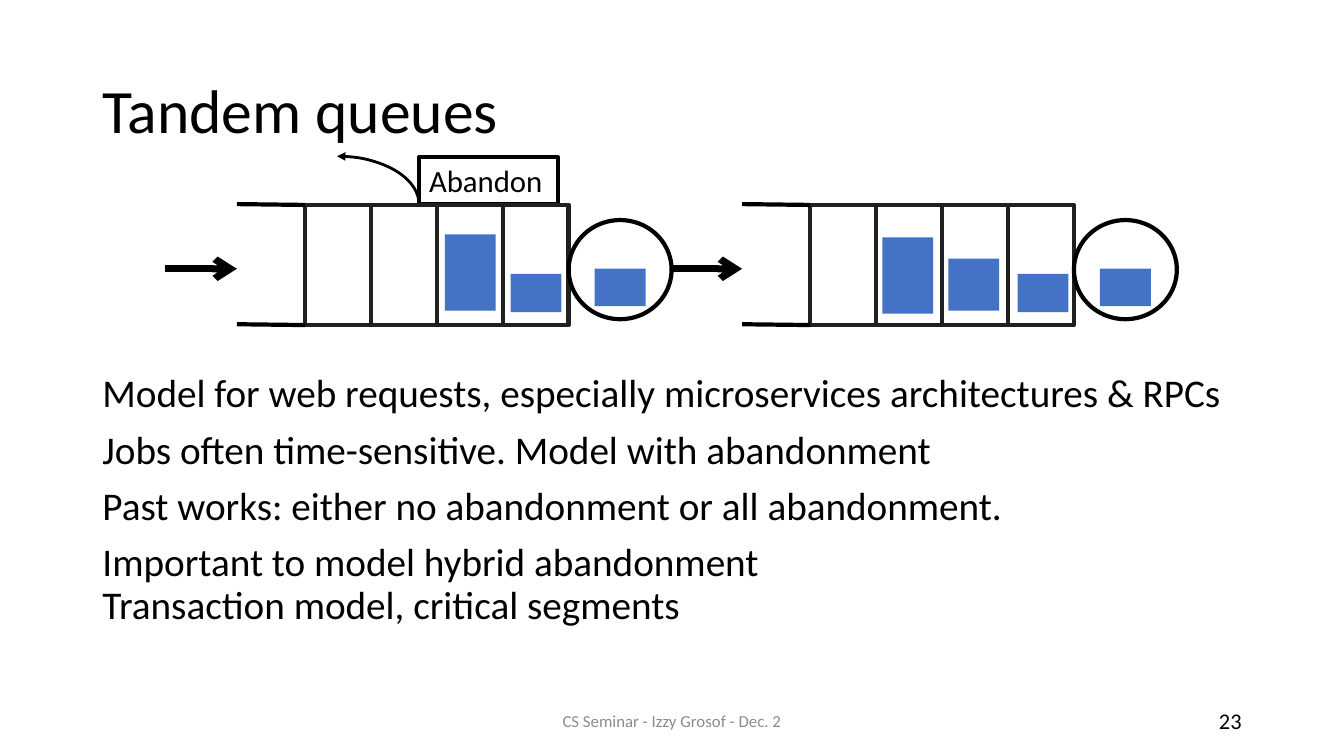
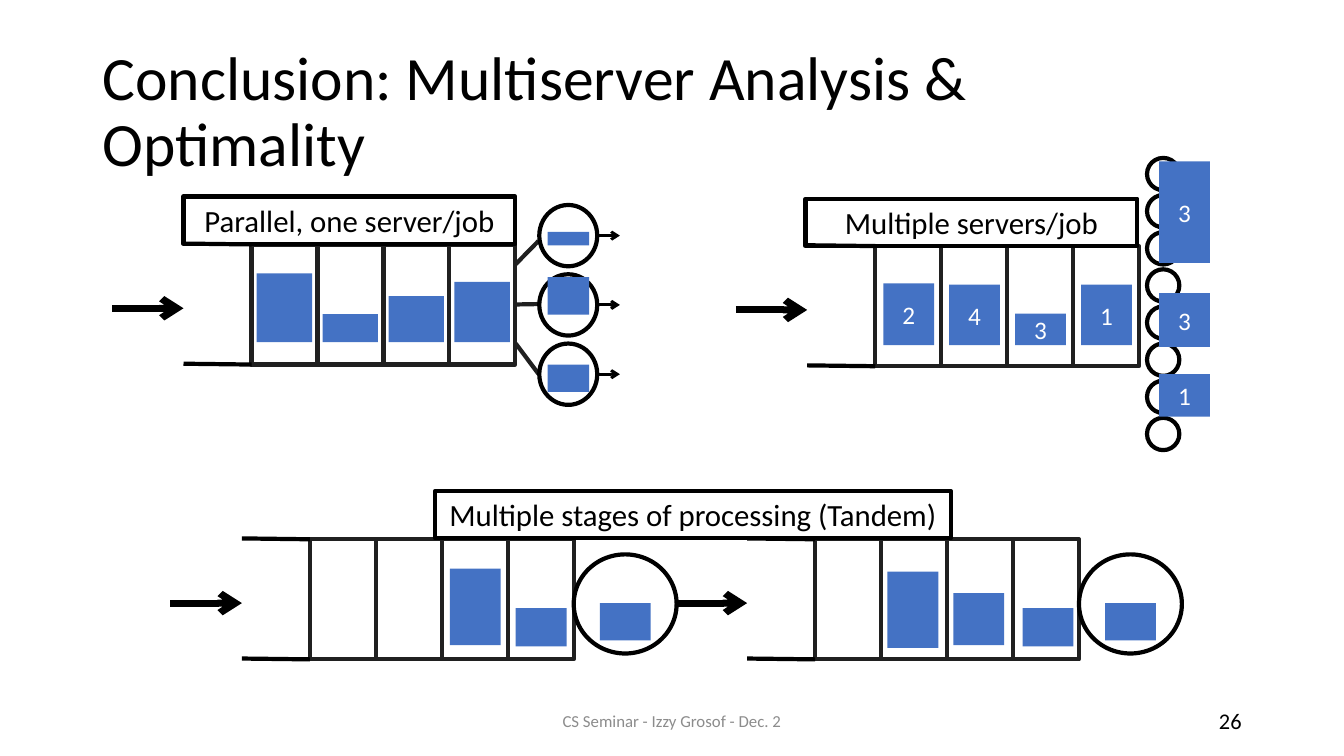
from lxml import etree
from pptx import Presentation, util as u
from pptx.dml.color import RGBColor
from pptx.enum import shapes, text
from pptx.oxml.ns import qn

COLORS = {"ink": "000000", "frame": "202020", "job": "4472C4", "paper": "FFFFFF", "muted": "8C8C8C"}
FONT = "Calibri"
UNIT = u.Pt(6)
COLUMNS, ROWS = 160, 90
CELL_WIDTH, CELL_HEIGHT = 7.85, 14.3
JOB_WIDTH = 6.05
LABEL_HEIGHT = 5.65
STAGE_GAP = 60.15


def grid(*lengths):
    return [round(length * UNIT) for length in lengths]


def color(name):
    return RGBColor.from_string(COLORS[name])


def write(frame, paragraphs, size=28, ink="ink", align="LEFT", anchor="TOP", spacing=None, gap=0):
    frame.word_wrap = True
    frame.auto_size = text.MSO_AUTO_SIZE.NONE
    frame.vertical_anchor = getattr(text.MSO_ANCHOR, anchor)
    for index, words in enumerate(paragraphs):
        para = frame.add_paragraph() if index else frame.paragraphs[0]
        props = para._p.get_or_add_pPr()
        props.set("marL", "0")
        props.set("indent", "0")
        para.alignment = getattr(text.PP_ALIGN, align)
        para.line_spacing = spacing
        para.space_before = u.Pt(gap if index else 0)
        etree.SubElement(props, qn("a:buNone"))
        for number, line in enumerate(words.split("\n")):
            if number:
                para.add_line_break()
            span = para.add_run()
            span.text = line
            span.font.name = FONT
            span.font.size = u.Pt(size)
            span.font.color.rgb = color(ink)


def add_arrowhead(item, end, kind):
    outline = item.element.spPr.find(qn("a:ln"))
    etree.SubElement(outline, qn(f"a:{end}"), type=kind)


class Slides:
    def __init__(self):
        self.deck = Presentation()
        self.deck.slide_width, self.deck.slide_height = grid(COLUMNS, ROWS)
        self.page = None

    def start(self, title, number, layout):
        self.page = self.deck.slides.add_slide(self.deck.slide_layouts.get_by_name(layout))
        self.fill_placeholder(0, (11, 4.8, 138, 17.4), [title], size=44, anchor="MIDDLE", spacing=0.9)
        self.note((53, 83.4, 54, 4.8), "CS Seminar - Izzy Grosof - Dec. 2", size=12, ink="muted", align="CENTER")
        self.note((113, 83.4, 36, 4.8), str(number), size=16, align="RIGHT")

    def fill_placeholder(self, index, area, paragraphs, **style):
        box = self.page.placeholders[index]
        box.left, box.top, box.width, box.height = grid(*area)
        write(box.text_frame, paragraphs, **style)

    def note(self, area, words, **style):
        box = self.page.shapes.add_textbox(*grid(*area))
        write(box.text_frame, [words], anchor="MIDDLE", **style)

    def shape(self, kind, area, fill=None, line=None, weight=3):
        item = self.page.shapes.add_shape(getattr(shapes.MSO_SHAPE, kind), *grid(*area))
        item.shadow.inherit = False
        if fill:
            item.fill.solid()
            item.fill.fore_color.rgb = color(fill)
        else:
            item.fill.background()
        if line:
            item.line.color.rgb = color(line)
            item.line.width = u.Pt(weight)
        else:
            item.line.fill.background()
        return item

    def line(self, start, end, ink="ink", weight=3, arrow=False):
        item = self.page.shapes.add_connector(shapes.MSO_CONNECTOR.STRAIGHT, *grid(*start, *end))
        item.line.color.rgb = color(ink)
        item.line.width = u.Pt(weight)
        if arrow:
            add_arrowhead(item, "tailEnd", "arrow")
        etree.SubElement(item.element.spPr, qn("a:effectLst"))

    def label(self, left, top, width, words, align="CENTER"):
        box = self.shape("RECTANGLE", (left, top, width, LABEL_HEIGHT), line="ink")
        write(box.text_frame, [words], size=22, align=align)

    def server(self, left, top, width, height):
        self.shape("OVAL", (left, top, width, height), "paper", "ink")

    def job(self, left, top, height, width=JOB_WIDTH, servers=None):
        box = self.shape("RECTANGLE", (left, top, width, height), "job")
        if servers:
            write(box.text_frame, [servers], size=18, ink="paper", align="CENTER", anchor="MIDDLE")

    def queue(self, left, top):
        for slot in range(4):
            area = (left + slot * CELL_WIDTH, top, CELL_WIDTH, CELL_HEIGHT)
            self.shape("RECTANGLE", area, "paper", "frame")
        for edge in (top, top + CELL_HEIGHT):
            self.line((left - 8.1, edge - 0.1), (left, edge))
        self.line((left - 16.6, top + 7.6), (left - 8.1, top + 7.6), weight=5, arrow=True)

    def waiting_jobs(self, left, floor, heights, width=JOB_WIDTH, servers=(None,) * 4):
        for slot, (height, count) in enumerate(zip(heights, servers)):
            self.job(left + slot * CELL_WIDTH, floor - height, height, width, count)

    def tandem(self, left, top):
        stages = [
            [(16.65, 3.5, 9.1), (24.5, 8.2, 4.55)],
            [(8.6, 3.85, 9.1), (16.45, 6.4, 6.2), (24.7, 8.2, 4.55)],
        ]
        for stage, jobs in enumerate(stages):
            start = left + stage * STAGE_GAP
            self.queue(start, top)
            self.server(start + 31.4, top + 1.8, 12.25, 11.8)
            for across, down, height in jobs + [(34.5, 7.6, 4.45)]:
                self.job(start + across, top + down, height)

    def parallel(self, left, top):
        self.queue(left, top)
        self.waiting_jobs(left + 0.6, top + 11.65, (8.2, 3.35, 5.5, 7.2), width=6.6)
        running = [(27.6, 1.6), (33, 4.45), (43.4, 3.25)]
        links = [(31.45, 28.7), (36.25, 36.2), (40.9, 44.5)]
        for index, ((job_top, height), (link_start, link_end)) in enumerate(zip(running, links)):
            server_top = 24.4 + index * 8.25
            middle = server_top + 3.65
            self.line((61.4, link_start), (64.1, link_end), ink="frame")
            self.server(64.2, server_top, 6.9, 7.3)
            self.line((71.1, middle), (73.8, middle), weight=2, arrow=True)
            self.job(65.2, job_top, height, width=4.95)
        self.label(21.85, 23.4, 39.5, "Parallel, one server/job")

    def multiserver(self, left, top):
        for index in range(8):
            self.server(136.55, 18.8 + index * 4.42, 3.85, 3.85)
        self.queue(left, top)
        self.waiting_jobs(left + 0.95, top + 11.8, (7.35, 7.2, 3.75, 7.2), servers="2431")
        for job_top, height, count in ((19.2, 12.1, "3"), (34.9, 6.4, "3"), (44.55, 5.05, "1")):
            self.job(138, job_top, height, servers=count)
        self.label(95.9, 23.65, 39.5, "Multiple servers/job")

    def abandonment(self):
        arc = self.shape("ARC", (30.35, 18.6, 19.55, 11.5), line="ink", weight=2)
        add_arrowhead(arc, "headEnd", "triangle")
        self.label(49.9, 18.7, 16.5, "Abandon", align="LEFT")


def main():
    slides = Slides()
    slides.start("Tandem queues", 23, "Title and Content")
    slides.fill_placeholder(1, (11, 43.9, 138, 37.1), [
        "Model for web requests, especially microservices architectures & RPCs",
        "Jobs often time-sensitive. Model with abandonment",
        "Past works: either no abandonment or all abandonment.",
        "Important to model hybrid abandonment\nTransaction model, critical segments",
    ], spacing=0.9, gap=10)
    slides.abandonment()
    slides.tandem(36.3, 24.4)

    slides.start("Conclusion: Multiserver Analysis & Optimality", 26, "Title Only")
    slides.parallel(29.95, 29.1)
    slides.multiserver(104.2, 29.3)
    slides.tandem(36.9, 64.2)
    slides.label(51.8, 58.45, 61.4, "Multiple stages of processing (Tandem)")
    slides.deck.save("out.pptx")


if __name__ == "__main__":
    main()
